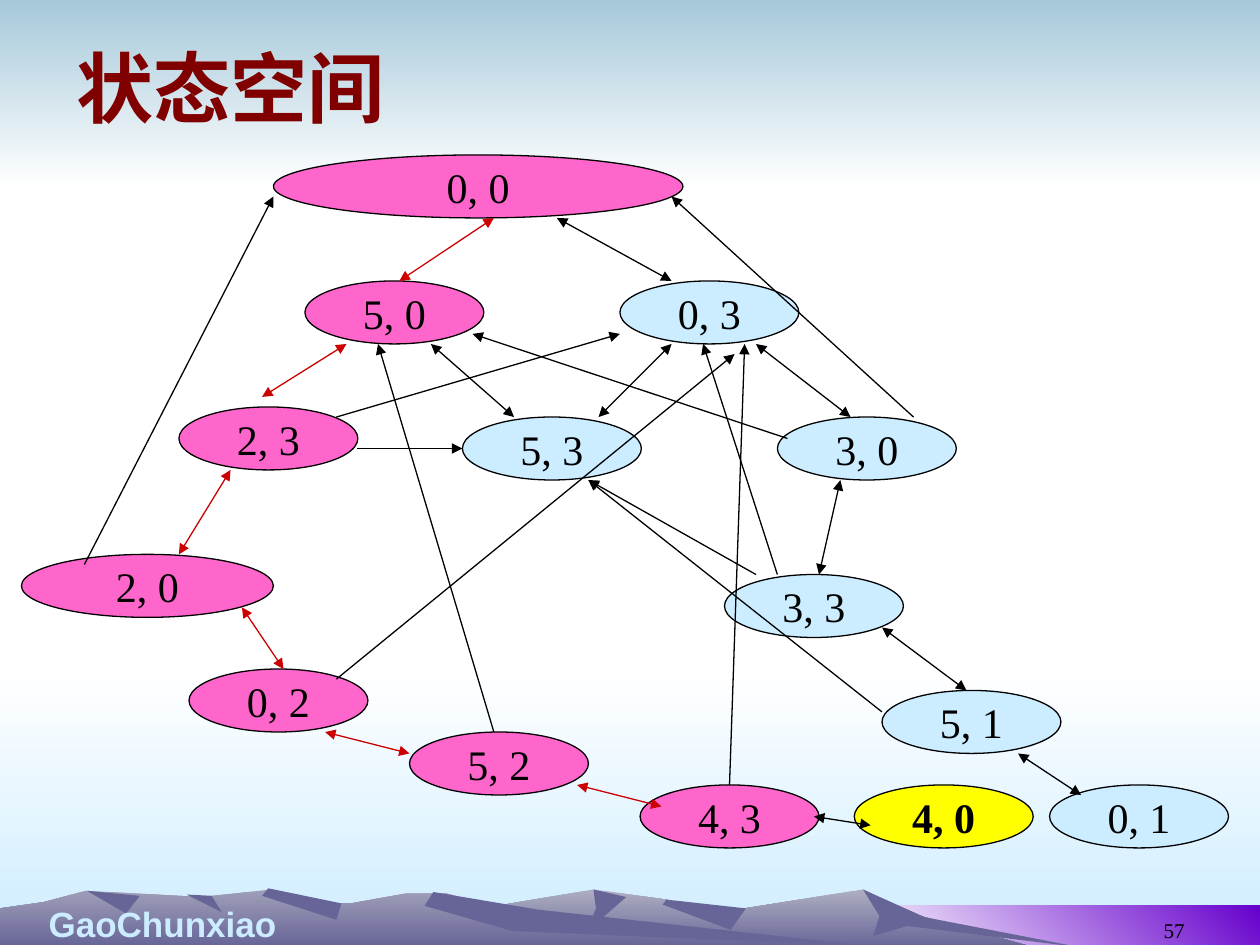
import pptx
import pptx.util
import pptx.dml.color
import pptx.enum.shapes
import pptx.enum.text
import pptx.oxml.ns
from lxml import etree

# All positions lie on a grid of 1000 x 750 steps
STEP = pptx.util.Cm(0.0254)
SERIF, SANS = "Times New Roman", "Arial"
BLACK, RED = "000000", "CC0000"
PINK, BLUE, YELLOW = "FF66CC", "CCECFF", "FFFF00"
ROCK = "676597"
ALIGN = pptx.enum.text.PP_ALIGN
ANCHOR = pptx.enum.text.MSO_ANCHOR
KIND = pptx.enum.shapes.MSO_SHAPE

# Background bands: left, top, width, height, from colour, to colour, angle
BANDS = [
    (0, 533, 1000, 217, "FFFFFF", BLUE, 270),
    (0, 0, 1000, 150, "A6C9DA", "FFFFFF", 270),
    (683, 719, 317, 33, "FFFFFF", "6600CC", 45),
]

# Mountains: gradient start colour (None for plain rock), outline
MOUNTAINS = [
    ("AEAEC2", [(821, 752), (723, 725), (685, 706), (566, 725), (529, 714), (471, 706),
                (394, 719), (258, 752)]),
    (None, [(858, 752), (734, 728), (685, 706), (698, 727), (693, 743), (720, 735)]),
    (None, [(471, 706), (497, 712), (465, 740), (473, 721)]),
    (None, [(529, 714), (592, 721), (580, 738), (526, 718)]),
    ("9F9EB8", [(690, 752), (432, 732), (354, 709), (323, 709), (279, 717), (236, 717),
                (215, 706), (160, 712), (68, 707), (35, 716), (0, 721), (0, 752)]),
    (None, [(213, 705), (271, 717), (267, 730), (208, 711)]),
    (None, [(344, 708), (427, 722), (690, 751), (407, 739), (337, 719)]),
    (None, [(148, 710), (168, 711), (176, 724)]),
    (None, [(69, 707), (111, 711), (100, 725)]),
]

# States: label -> left, top, fill; a few are wider
STATE_WIDTH, STATE_HEIGHT = 142, 50
WIDE_STATES = {"0, 0": 325, "2, 0": 200}
STATES = {
    "0, 0": (217, 123, PINK),
    "5, 0": (242, 223, PINK),
    "0, 3": (492, 223, BLUE),
    "2, 3": (142, 323, PINK),
    "5, 3": (367, 331, BLUE),
    "3, 0": (617, 331, BLUE),
    "2, 0": (17, 440, PINK),
    "3, 3": (575, 456, BLUE),
    "0, 2": (150, 531, PINK),
    "5, 2": (325, 581, PINK),
    "5, 1": (700, 548, BLUE),
    "4, 3": (508, 623, PINK),
    "0, 1": (833, 623, BLUE),
    "4, 0": (678, 623, YELLOW),
}

# Moves: state, x, other state, x, then any vertical shifts of the two ends
SOLUTION_MOVES = [
    ("0, 0", 392, "5, 0", 317),
    ("5, 0", 275, "2, 3", 208, 0, -8),
    ("2, 0", 142, "2, 3", 183),
    ("2, 0", 192, "0, 2", 225, -8),
    ("0, 2", 258, "5, 2", 325, 0, 17),
    ("5, 2", 458, "4, 3", 525, -8, 17),
]
TWO_WAY_MOVES = [
    ("0, 0", 442, "0, 3", 533),
    ("5, 0", 342, "5, 3", 408),
    ("0, 3", 533, "5, 3", 475),
    ("0, 3", 600, "3, 0", 675),
    ("3, 0", 667, "3, 3", 650),
    ("3, 3", 700, "5, 1", 767, -8),
    ("5, 1", 808, "0, 1", 858, 0, 8),
    ("4, 3", 646, "4, 0", 691, 25, 32),
]
ONE_WAY_MOVES = [
    ("2, 3", 283, "5, 3", 367, -17, 25),
    ("2, 3", 267, "0, 3", 492, 8, -8),
    ("3, 0", 625, "5, 0", 375, 17, -8),
    ("3, 0", 725, "0, 0", 533, 0, -17),
    ("2, 0", 67, "0, 0", 217, 8, -17),
    ("3, 3", 600, "5, 3", 467),
    ("3, 3", 617, "0, 3", 558),
    ("0, 2", 267, "0, 3", 583, 8, 8),
    ("5, 2", 392, "5, 0", 300),
    ("5, 1", 700, "5, 3", 467, 17),
    ("4, 3", 579, "0, 3", 591),
]


def color(value):
    return pptx.dml.color.RGBColor.from_string(value)


def scaled(*values):
    return [value * STEP for value in values]


def write(frame, text, size, font, ink, bold=False, align=ALIGN.CENTER, anchor=ANCHOR.MIDDLE):
    frame.vertical_anchor = anchor
    para = frame.paragraphs[0]
    para.alignment = align
    span = para.add_run()
    span.text = text
    span.font.size = pptx.util.Pt(size)
    span.font.name = font
    span.font.bold = bold
    span.font.color.rgb = color(ink)


def paint(shape, first, last=None, angle=270):
    """Fill with one colour, or with a gradient when two are given."""
    shape.shadow.inherit = False
    if last is None:
        shape.fill.solid()
        shape.fill.fore_color.rgb = color(first)
        return
    shape.fill.gradient()
    shape.fill.gradient_angle = angle
    for stop, value, position in zip(shape.fill.gradient_stops, (first, last), (0, 1)):
        stop.color.rgb = color(value)
        stop.position = position


def edge(state, other):
    """Height of the state's lower edge if the other lies below, else its upper edge."""
    top, other_top = STATES[state][1], STATES[other][1]
    return top + STATE_HEIGHT if top < other_top else top


def add_move(page, ink, two_way, start, start_x, end, end_x, start_shift=0, end_shift=0):
    move = page.shapes.add_connector(
        pptx.enum.shapes.MSO_CONNECTOR.STRAIGHT,
        *scaled(start_x, edge(start, end) + start_shift, end_x, edge(end, start) + end_shift))
    move.line.color.rgb = color(ink)
    move.line.width = pptx.util.Pt(0.75)
    qn = pptx.oxml.ns.qn
    line = move.element.spPr.find(qn("a:ln"))
    for tag in ["a:headEnd", "a:tailEnd"] if two_way else ["a:tailEnd"]:
        etree.SubElement(line, qn(tag), type="triangle")
    etree.SubElement(move.element.spPr, qn("a:effectLst"))


def main():
    deck = pptx.Presentation()
    deck.slide_width, deck.slide_height = scaled(1000, 750)
    page = deck.slides.add_slide(deck.slide_layouts[5])

    # Background
    for *place, first, last, angle in BANDS:
        band = page.shapes.add_shape(KIND.RECTANGLE, *scaled(*place))
        paint(band, first, last, angle)
        band.line.fill.background()
    for light, (start, *rest) in MOUNTAINS:
        builder = page.shapes.build_freeform(*start, scale=STEP)
        builder.add_line_segments(rest, close=True)
        mountain = builder.convert_to_shape()
        paint(mountain, *([light, ROCK] if light else [ROCK]))
        mountain.line.fill.background()

    # Footer
    author = page.shapes.add_textbox(*scaled(0, 711, 258, 44)).text_frame
    author.word_wrap = True
    write(author, "GaoChunxiao", 20, SANS, BLUE, bold=True, anchor=ANCHOR.TOP)
    number = page.shapes.add_textbox(*scaled(717, 703, 233, 50)).text_frame
    number.word_wrap = True
    write(number, "57", 12, SERIF, BLACK, align=ALIGN.RIGHT, anchor=ANCHOR.BOTTOM)

    # Title, brought in front of the background
    title = page.shapes.title
    title.left, title.top, title.width, title.height = scaled(51, 13, 900, 112)
    title.text_frame.auto_size = pptx.enum.text.MSO_AUTO_SIZE.NONE
    write(title.text_frame, "状态空间", 44, SERIF, "800000", bold=True, align=ALIGN.LEFT)
    title.element.getparent().append(title.element)

    # State graph
    for label, (left, top, fill) in STATES.items():
        width = WIDE_STATES.get(label, STATE_WIDTH)
        state = page.shapes.add_shape(KIND.OVAL, *scaled(left, top, width, STATE_HEIGHT))
        paint(state, fill)
        state.line.color.rgb = color(BLACK)
        state.line.width = pptx.util.Pt(0.75)
        state.text_frame.word_wrap = False
        write(state.text_frame, label, 24, SERIF, BLACK, bold=fill == YELLOW)
    for moves, ink, two_way in [(SOLUTION_MOVES, RED, True), (TWO_WAY_MOVES, BLACK, True),
                                (ONE_WAY_MOVES, BLACK, False)]:
        for move in moves:
            add_move(page, ink, two_way, *move)

    deck.save("out.pptx")


if __name__ == "__main__":
    main()
